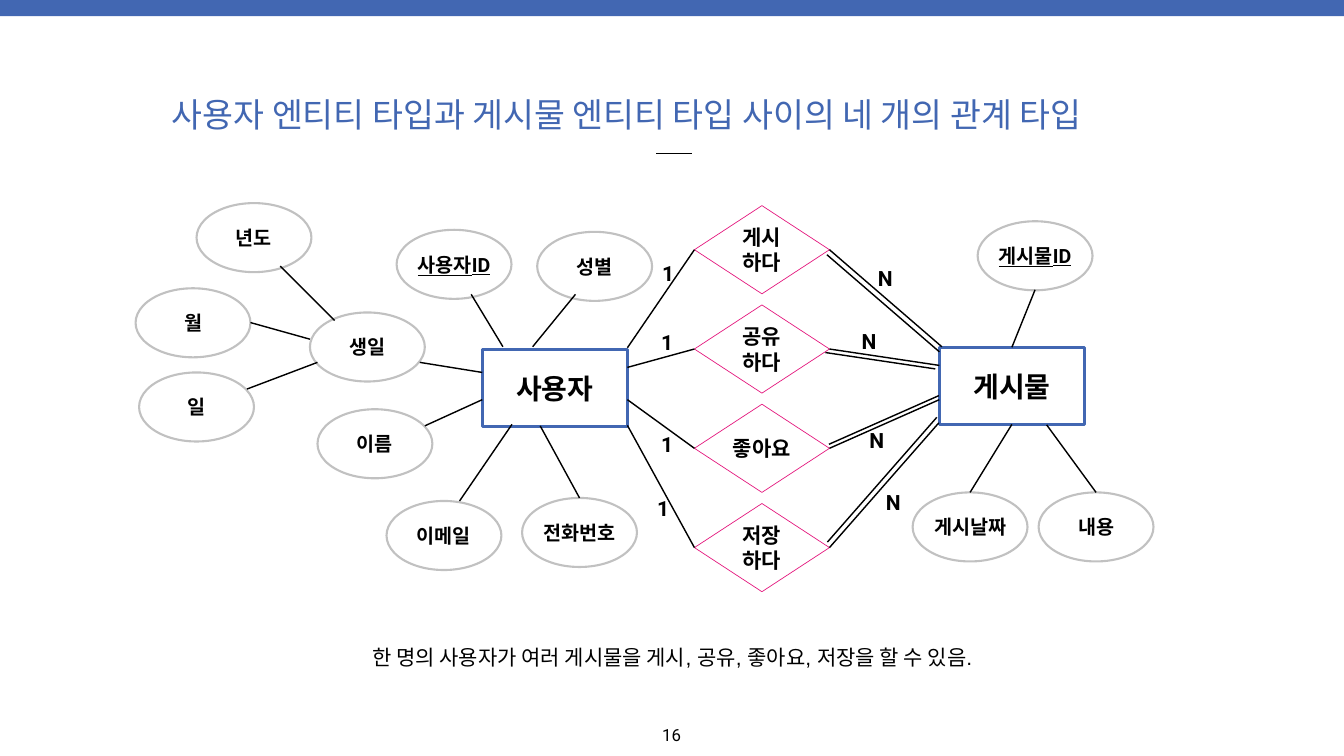
from dataclasses import dataclass

from lxml import etree
from pptx import Presentation
from pptx import util as u
from pptx.dml.color import RGBColor
from pptx.enum import shapes, text
from pptx.oxml import ns


@dataclass(frozen=True)
class Theme:
    blue: str = "4267B2"
    gray: str = "C1C1C1"
    pink: str = "E4177D"
    white: str = "FFFFFF"
    black: str = "000000"
    heading_font: str = "Arial"
    body_font: str = "Roboto"
    title_size: int = 48
    entity_size: int = 40
    relation_size: int = 30
    attribute_size: int = 28
    number_size: int = 24


THEME = Theme()
COLUMNS, ROWS = 26.67, 15  # grid cells are one inch square
ENTITY = (2.88, 1.53)
ATTRIBUTE = (2.28, 1.37)
RELATION = (2.68, 1.75)


class Diagram:
    def __init__(self, slide, theme):
        self.slide = slide
        self.theme = theme

    def add_text(self, shape, content, size, font=None, color=None, bold=True,
                 underline=False, wrap=False, inset=0.06,
                 align=text.PP_ALIGN.CENTER, anchor=text.MSO_ANCHOR.MIDDLE):
        frame = shape.text_frame
        frame.word_wrap = wrap
        frame.vertical_anchor = anchor
        frame.margin_left = frame.margin_right = u.Inches(inset)
        frame.margin_top = frame.margin_bottom = u.Inches(0.06)
        paragraph = frame.paragraphs[0]
        paragraph.alignment = align
        run = paragraph.add_run()
        run.text = content
        run.font.name = font or self.theme.body_font
        run.font.size = u.Pt(size)
        run.font.bold = bold
        run.font.underline = underline
        run.font.color.rgb = RGBColor.from_string(color or self.theme.black)

    def label(self, content, left, top, width, height, size, **style):
        box = self.slide.shapes.add_textbox(*map(u.Inches, (left, top, width, height)))
        self.add_text(box, content, size, **style)

    def shape(self, kind, left, top, size, fill, line=None, weight=0):
        shape = self.slide.shapes.add_shape(kind, *map(u.Inches, (left, top, *size)))
        shape.shadow.inherit = False
        shape.fill.solid()
        shape.fill.fore_color.rgb = RGBColor.from_string(fill)
        if line:
            shape.line.color.rgb = RGBColor.from_string(line)
            shape.line.width = u.Pt(weight)
        else:
            shape.line.fill.background()
        return shape

    def entity(self, name, left, top):
        shape = self.shape(shapes.MSO_SHAPE.RECTANGLE, left, top, ENTITY,
                           self.theme.white, self.theme.blue, 4.5)
        self.add_text(shape, name, self.theme.entity_size)

    def attribute(self, name, left, top):
        shape = self.shape(shapes.MSO_SHAPE.OVAL, left, top, ATTRIBUTE,
                           self.theme.white, self.theme.gray, 3)
        self.add_text(shape, name, self.theme.attribute_size, underline=name.endswith("ID"))

    def relation(self, name, left, top):
        shape = self.shape(shapes.MSO_SHAPE.DIAMOND, left, top, RELATION,
                           self.theme.white, self.theme.pink, 1)
        # Four-syllable names break into two lines of two
        self.add_text(shape, name, self.theme.relation_size, wrap=len(name) > 3, inset=0.15)

    def cardinality(self, mark, left, top):
        self.label(mark, left, top, 0.36, 0.62, self.theme.relation_size)

    def line(self, x1, y1, x2, y2):
        line = self.slide.shapes.add_connector(
            shapes.MSO_CONNECTOR.STRAIGHT, *map(u.Inches, (x1, y1, x2, y2)))
        line.line.color.rgb = RGBColor.from_string(self.theme.black)
        line.line.width = u.Pt(2)
        etree.SubElement(line._element.spPr, ns.qn("a:effectLst"))

    def double_line(self, x1, y1, x2, y2, dx, dy):
        self.line(x1, y1, x2, y2)
        self.line(x1 + dx, y1 + dy, x2 + dx, y2 + dy)


ATTRIBUTES = [
    ("년도", 3.9, 4.03), ("월", 2.69, 5.72), ("일", 2.76, 7.39),
    ("생일", 6.15, 6.2), ("이름", 6.3, 8.12), ("이메일", 7.67, 9.94),
    ("전화번호", 10.36, 9.88), ("사용자ID", 7.87, 4.56), ("성별", 10.66, 4.6),
    ("게시물ID", 19.4, 4.39), ("게시날짜", 18.11, 9.77), ("내용", 20.61, 9.77),
]
ATTRIBUTE_LINES = [
    # Parts of the birthday
    (6.64, 6.36, 5.56, 5.28), (6.15, 6.73, 4.97, 6.4), (6.3, 7.19, 4.9, 7.72),
    (8.43, 6.75, 8.43, 6.75),
    # User
    (11.42, 5.84, 10.57, 6.88), (9.35, 5.84, 9.98, 6.88), (8.33, 7.19, 9.57, 7.39),
    (9.57, 7.93, 8.43, 8.45), (10.16, 8.42, 9.12, 9.94), (10.72, 8.45, 11.5, 9.88),
    # Post
    (20.54, 5.75, 20.08, 6.89), (20.08, 8.42, 19.25, 9.77), (20.77, 8.43, 21.75, 9.77),
]
# Name, user end, place of "1", post end, offset of second line, place of "N"
RELATIONS = [
    ("게시하다", 6.9, (13.08, 5.11), (18.69, 6.88), (-0.05, 0.1), (17.36, 5.2)),
    ("공유하다", 7.29, (13.06, 6.48), (18.64, 7.25), (-0.08, 0.07), (17.04, 6.46)),
    ("좋아요", 7.93, (13.06, 8.51), (18.64, 7.93), (-0.01, -0.08), (17.19, 8.43)),
    ("저장하다", 8.44, (12.98, 9.78), (18.63, 8.39), (-0.04, -0.11), (17.52, 9.65)),
]
RELATION_LEFT, RELATION_TOP, RELATION_STEP = 13.78, 4.08, 1.97
USER_RIGHT = 12.45


def main():
    presentation = Presentation()
    presentation.slide_width = u.Inches(COLUMNS)
    presentation.slide_height = u.Inches(ROWS)
    slide = presentation.slides.add_slide(presentation.slide_layouts[6])
    diagram = Diagram(slide, THEME)

    # Top band, title and rule
    diagram.shape(shapes.MSO_SHAPE.RECTANGLE, 0, -0.03, (COLUMNS, 0.35), THEME.blue)
    diagram.label("사용자 엔티티 타입과 게시물 엔티티 타입 사이의 네 개의 관계 타입",
                  3.35, 1.81, 19.97, 0.92, THEME.title_size, font=THEME.heading_font,
                  color=THEME.blue, bold=False, wrap=True, align=text.PP_ALIGN.LEFT)
    diagram.line(13.02, 3.05, 13.73, 3.05)

    # Entities and their attributes
    for attribute in ATTRIBUTES:
        diagram.attribute(*attribute)
    diagram.entity("사용자", 9.57, 6.93)
    diagram.entity("게시물", 18.64, 6.89)
    for ends in ATTRIBUTE_LINES:
        diagram.line(*ends)

    # Relations, one to many
    for row, (name, user_y, one, post, offset, many) in enumerate(RELATIONS):
        top = RELATION_TOP + row * RELATION_STEP
        middle = top + RELATION[1] / 2
        diagram.relation(name, RELATION_LEFT, top)
        diagram.line(USER_RIGHT, user_y, RELATION_LEFT, middle)
        diagram.double_line(RELATION_LEFT + RELATION[0], middle, *post, *offset)
        diagram.cardinality("1", *one)
        diagram.cardinality("N", *many)

    # Summary and page number
    diagram.label("한 명의 사용자가 여러 게시물을 게시, 공유, 좋아요, 저장을 할 수 있음.",
                  6.87, 12.72, 12.94, 0.62, THEME.relation_size,
                  font=THEME.heading_font, bold=False)
    diagram.label("16", 13.08, 14.31, 0.5, 0.5, THEME.number_size, bold=False,
                  align=text.PP_ALIGN.LEFT, anchor=text.MSO_ANCHOR.TOP)

    presentation.save("out.pptx")


if __name__ == "__main__":
    main()
